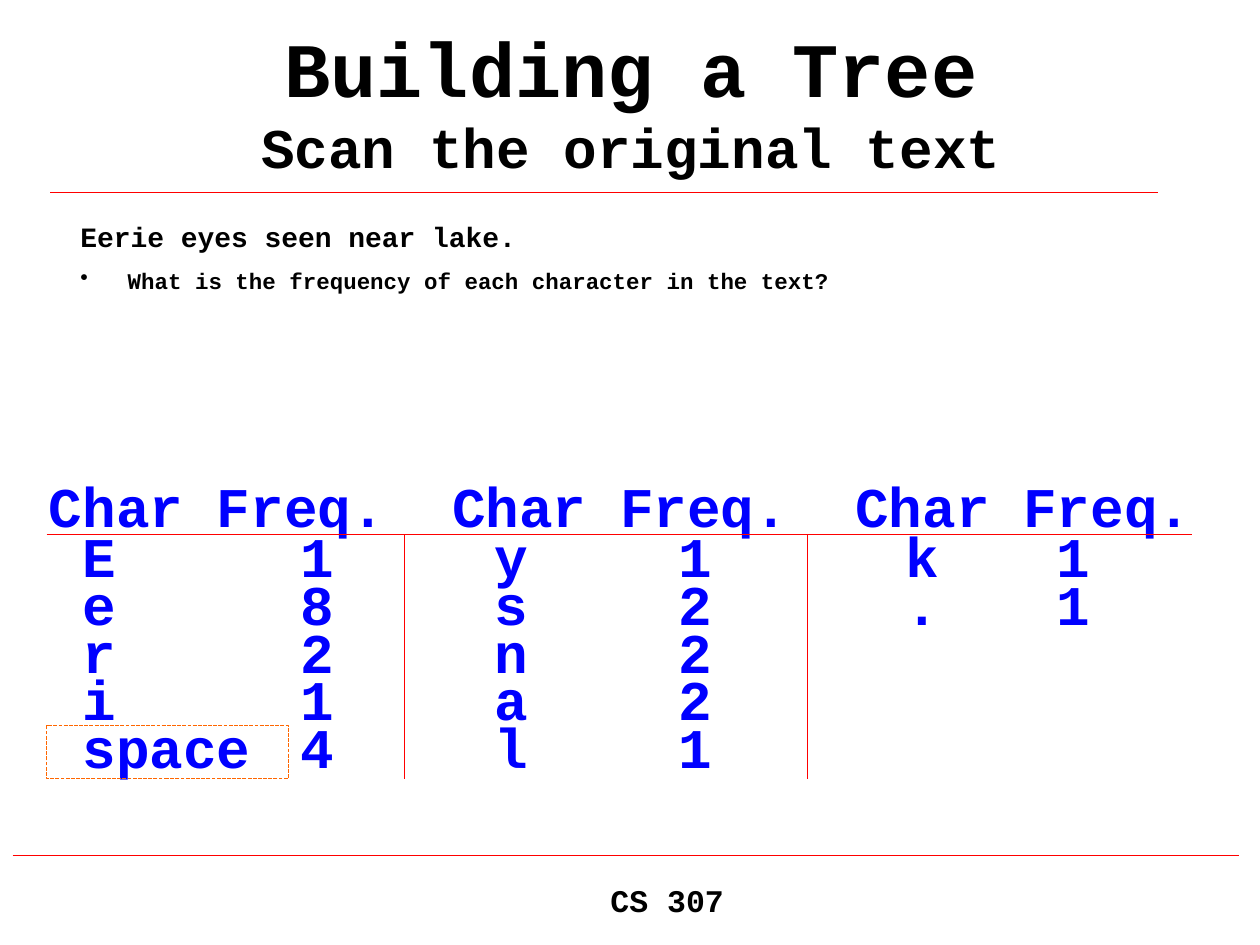
from lxml import etree
from pptx import Presentation
from pptx.dml.color import RGBColor
from pptx.enum.dml import MSO_LINE
from pptx.enum.shapes import MSO_CONNECTOR, MSO_SHAPE
from pptx.enum.text import MSO_ANCHOR, PP_ALIGN
from pptx.oxml.ns import qn
from pptx.util import Pt

BLACK = RGBColor(0x00, 0x00, 0x00)
BLUE = RGBColor(0x00, 0x00, 0xFF)
RED = RGBColor(0xFF, 0x00, 0x00)
ORANGE = RGBColor(0xFF, 0x66, 0x00)


def add_rule(shapes, x1, y1, x2, y2):
    rule = shapes.add_connector(MSO_CONNECTOR.STRAIGHT, Pt(x1), Pt(y1), Pt(x2), Pt(y2))
    rule.line.color.rgb = RED
    rule.line.width = Pt(0.75)
    etree.SubElement(rule._element.spPr, qn("a:effectLst"))


def style(paragraph, size, color=BLACK):
    font = paragraph.font
    font.name = "Courier New"
    font.size = Pt(size)
    font.bold = True
    font.color.rgb = color


prs = Presentation()
prs.slide_width, prs.slide_height = Pt(720), Pt(540)
slide = prs.slides.add_slide(prs.slide_layouts[6])

# Rules under the title and above the footer
add_rule(slide.shapes, 28.8, 110.16, 661.68, 110.16)
add_rule(slide.shapes, 7.2, 488.88, 707.76, 488.88)

# Title and subtitle
title = slide.shapes.add_textbox(Pt(54.72), Pt(12.24), Pt(612), Pt(90)).text_frame
title.word_wrap = True
title.vertical_anchor = MSO_ANCHOR.MIDDLE
heading = title.paragraphs[0]
heading.alignment = PP_ALIGN.CENTER
style(heading, 44)
heading.add_run().text = "Building a Tree"
heading.add_line_break()
subtitle = heading.add_run()
subtitle.text = "Scan the original text"
subtitle.font.size = Pt(32)

# Sample sentence and question
body = slide.shapes.add_textbox(Pt(38.88), Pt(121.68), Pt(661.68), Pt(54)).text_frame
body.word_wrap = True
sentence = body.paragraphs[0]
sentence.text = "Eerie eyes seen near lake."
sentence.space_before = Pt(10)
style(sentence, 16)
question = body.add_paragraph()
question.text = "What is the frequency of each character in the text?"
question.space_before = Pt(8)
style(question, 12.8)
question_props = question._p.get_or_add_pPr()
question_props.set("marL", str(Pt(27)))
question_props.set("indent", str(-Pt(27)))
etree.SubElement(question_props, qn("a:buChar"), char="•")
question_props.append(question_props.find(qn("a:defRPr")))  # schema order

# Frequency listing: tab stops line up the three Char / Freq. pairs
HEADER_TABS = [230.4, 460.8]
ROW_TABS = [144, 254.4, 360, 489.6, 576]
frequency_rows = [
    ["E", "1", "y", "1", "k", "1"],
    ["e", "8", "s", "2", ".", "1"],
    ["r", "2", "n", "2"],
    ["i", "1", "a", "2"],
    ["space", "4", "l", "1"],
]
listing = [("\t".join(["Char Freq."] * 3), 0.7, HEADER_TABS)]
listing += [(" " + "\t".join(row), 0.5, ROW_TABS) for row in frequency_rows]

group = slide.shapes.add_group_shape().shapes
frequencies = group.add_textbox(Pt(20.88), Pt(276.48), Pt(694.8), Pt(170.64)).text_frame
frequencies.word_wrap = True
for index, (text, spacing, tabs) in enumerate(listing):
    line = frequencies.add_paragraph() if index else frequencies.paragraphs[0]
    line.text = text
    line.line_spacing = spacing
    line.space_before = Pt(8)
    style(line, 32, BLUE)
    line_props = line._p.get_or_add_pPr()
    tab_list = etree.SubElement(line_props, qn("a:tabLst"))
    for tab in tabs:
        etree.SubElement(tab_list, qn("a:tab"), pos=str(Pt(tab)), algn="l")
    line_props.append(line_props.find(qn("a:defRPr")))  # schema order

# Listing rules and the frame around "space"
add_rule(group, 26.64, 305.28, 681.12, 305.28)
space_frame = group.add_shape(MSO_SHAPE.RECTANGLE, Pt(26.64), Pt(414.72), Pt(138.24), Pt(30.24))
space_frame.shadow.inherit = False
space_frame.fill.background()
space_frame.line.color.rgb = ORANGE
space_frame.line.width = Pt(0.75)
space_frame.line.dash_style = MSO_LINE.SQUARE_DOT
for divider_x in (231.12, 461.52):
    add_rule(group, divider_x, 305.28, divider_x, 444.96)

# Footer
footer = slide.shapes.add_textbox(Pt(192.96), Pt(499.68), Pt(376.56), Pt(36)).text_frame
footer.word_wrap = True
course = footer.paragraphs[0]
course.text = "CS 307"
course.alignment = PP_ALIGN.CENTER
style(course, 18)

prs.save("out.pptx")
